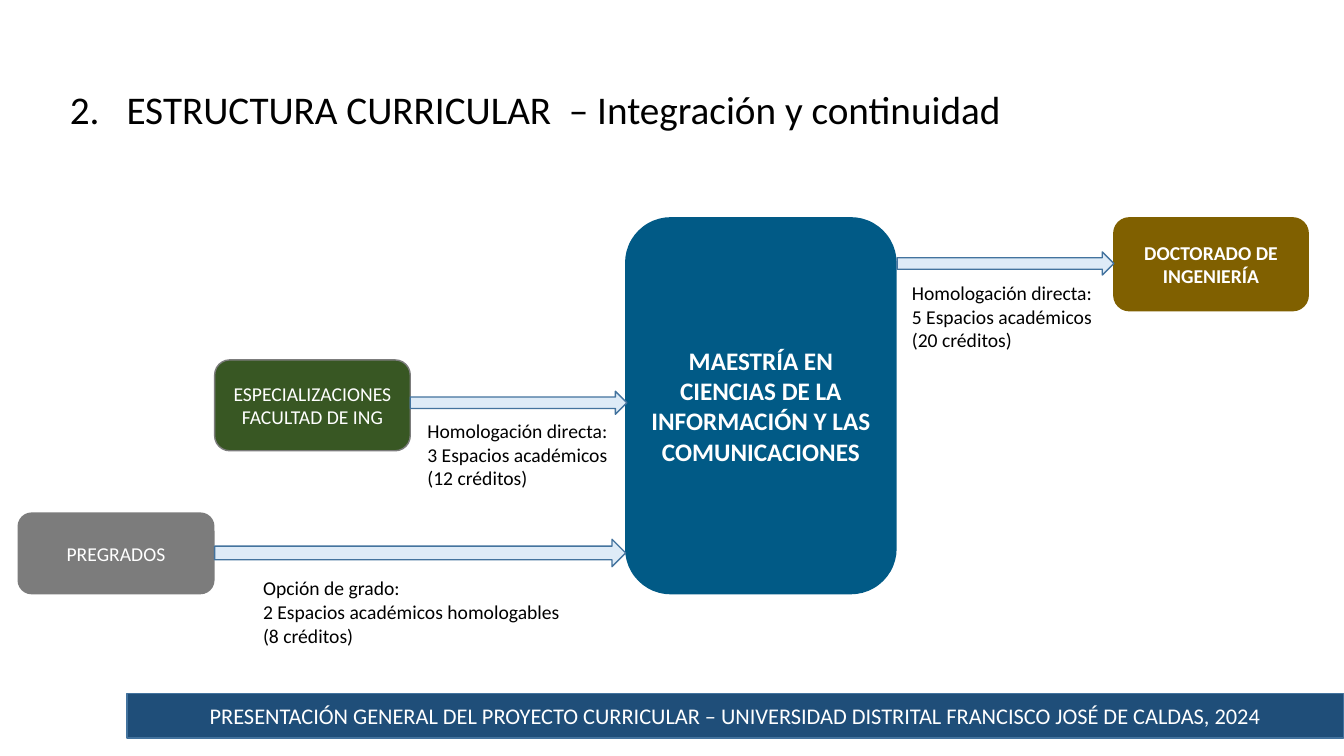
"""Builds the slide on curricular integration and continuity."""
from dataclasses import dataclass

from lxml import etree
from pptx import Presentation
from pptx.dml.color import RGBColor
from pptx.enum.shapes import MSO_SHAPE
from pptx.enum.text import MSO_ANCHOR, MSO_AUTO_SIZE, PP_ALIGN
from pptx.oxml.ns import qn
from pptx.util import Cm, Pt

ROUND, RECT, ARROW = MSO_SHAPE.ROUNDED_RECTANGLE, MSO_SHAPE.RECTANGLE, MSO_SHAPE.RIGHT_ARROW
LEFT, CENTER = PP_ALIGN.LEFT, PP_ALIGN.CENTER
TOP, MIDDLE = MSO_ANCHOR.TOP, MSO_ANCHOR.MIDDLE
NO_FIT, GROW = MSO_AUTO_SIZE.NONE, MSO_AUTO_SIZE.SHAPE_TO_FIT_TEXT
WHITE, BLACK, GRAY = "FFFFFF", "000000", "7C7C7C"
PALE_BLUE, EDGE_BLUE = "DEEBF7", "43739E"
TITLE_ONLY = 5


@dataclass
class Block:
    """A filled shape with its place in centimetres and its text."""
    kind: int
    at: tuple[float, float, float, float]
    fill: str
    line: str
    text: str = ""
    size: int = 14
    bold: bool = False


@dataclass
class Note:
    """A free label with its place in centimetres."""
    at: tuple[float, float, float, float]
    text: str


BLOCKS = [
    Block(ROUND, (0.46, 12.93, 4.93, 2.03), GRAY, GRAY, "PREGRADOS"),
    Block(ROUND, (5.41, 9.07, 4.93, 2.29), "385723", GRAY, "ESPECIALIZACIONES\nFACULTAD DE ING"),
    Block(ROUND, (15.77, 5.49, 6.81, 9.47), "015A86", "015A86",
          "MAESTRÍA EN CIENCIAS DE LA INFORMACIÓN Y LAS COMUNICACIONES", 18, True),
    Block(ROUND, (28.07, 5.49, 4.9, 2.34), "806000", "806000", "DOCTORADO DE INGENIERÍA", 14, True),
    Block(ARROW, (5.41, 13.59, 10.36, 0.69), PALE_BLUE, EDGE_BLUE),
    Block(ARROW, (10.34, 9.86, 5.46, 0.58), PALE_BLUE, EDGE_BLUE),
    Block(ARROW, (22.61, 6.35, 5.46, 0.58), PALE_BLUE, EDGE_BLUE),
    Block(RECT, (3.2, 17.48, 30.66, 1.12), "1F4E79", EDGE_BLUE,
          "PRESENTACIÓN GENERAL DEL PROYECTO CURRICULAR – "
          "UNIVERSIDAD DISTRITAL FRANCISCO JOSÉ DE CALDAS, 2024", 16),
]
NOTES = [
    Note((6.38, 14.4, 8.05, 2.06),
         "Opción de grado:\n2 Espacios académicos homologables\n(8 créditos)"),
    Note((22.73, 6.96, 5.11, 2.06),
         "Homologación directa:\n5 Espacios académicos\n(20 créditos)"),
    Note((10.52, 10.44, 5.08, 2.06),
         "Homologación directa:\n3 Espacios académicos\n(12 créditos)"),
]


def rgb(value: str) -> RGBColor:
    """Turn a hex string into a colour."""
    return RGBColor.from_string(value)


def apply(target, values: dict) -> None:
    """Set each attribute in the dict on the target."""
    for name, value in values.items():
        setattr(target, name, value)


def write(tf, text: str, size: int, color: str, align, bold: bool = False, **frame) -> None:
    """Fill a text frame with one paragraph per line."""
    apply(tf, frame)
    for i, line in enumerate(text.split("\n")):
        p = tf.add_paragraph() if i else tf.paragraphs[0]
        p.alignment = align
        r = p.add_run()
        r.text = line
        apply(r.font, {"name": "Calibri", "size": Pt(size), "bold": bold})
        r.font.color.rgb = rgb(color)


def add_title(s) -> None:
    """Place the numbered title in its placeholder."""
    sp = s.shapes.title
    apply(sp, dict(zip(("left", "top", "width", "height"), map(Cm, (1.04, 2.01, 24.89, 1.45)))))
    pPr = sp.text_frame.paragraphs[0]._p.get_or_add_pPr()
    apply_indent = {"marL": Cm(1.43), "indent": Cm(-1.43)}
    for name, value in apply_indent.items():
        pPr.set(name, str(int(value)))
    etree.SubElement(pPr, qn("a:buFont"), typeface="+mj-lt")
    etree.SubElement(pPr, qn("a:buAutoNum"), type="arabicPeriod", startAt="2")
    write(sp.text_frame, "ESTRUCTURA CURRICULAR  – Integración y continuidad", 28, BLACK, CENTER,
          word_wrap=True, auto_size=NO_FIT, vertical_anchor=TOP)


def add_block(s, block: Block) -> None:
    """Draw a filled shape with centred text."""
    sp = s.shapes.add_shape(block.kind, *map(Cm, block.at))
    sp.shadow.inherit = False
    sp.fill.solid()
    sp.fill.fore_color.rgb = rgb(block.fill)
    sp.line.color.rgb = rgb(block.line)
    sp.line.width = Pt(1)
    if block.text:
        write(sp.text_frame, block.text, block.size, WHITE, CENTER, block.bold,
              word_wrap=True, vertical_anchor=MIDDLE)


def add_note(s, note: Note) -> None:
    """Draw a free label."""
    sp = s.shapes.add_textbox(*map(Cm, note.at))
    write(sp.text_frame, note.text, 14, BLACK, LEFT, word_wrap=False, auto_size=GROW)


def main() -> None:
    """Build and save the slide."""
    prs = Presentation()
    apply(prs, {"slide_width": Cm(33.87), "slide_height": Cm(19.05)})
    s = prs.slides.add_slide(prs.slide_layouts[TITLE_ONLY])
    add_title(s)
    for block in BLOCKS:
        add_block(s, block)
    for note in NOTES:
        add_note(s, note)
    prs.save("out.pptx")


if __name__ == "__main__":
    main()
